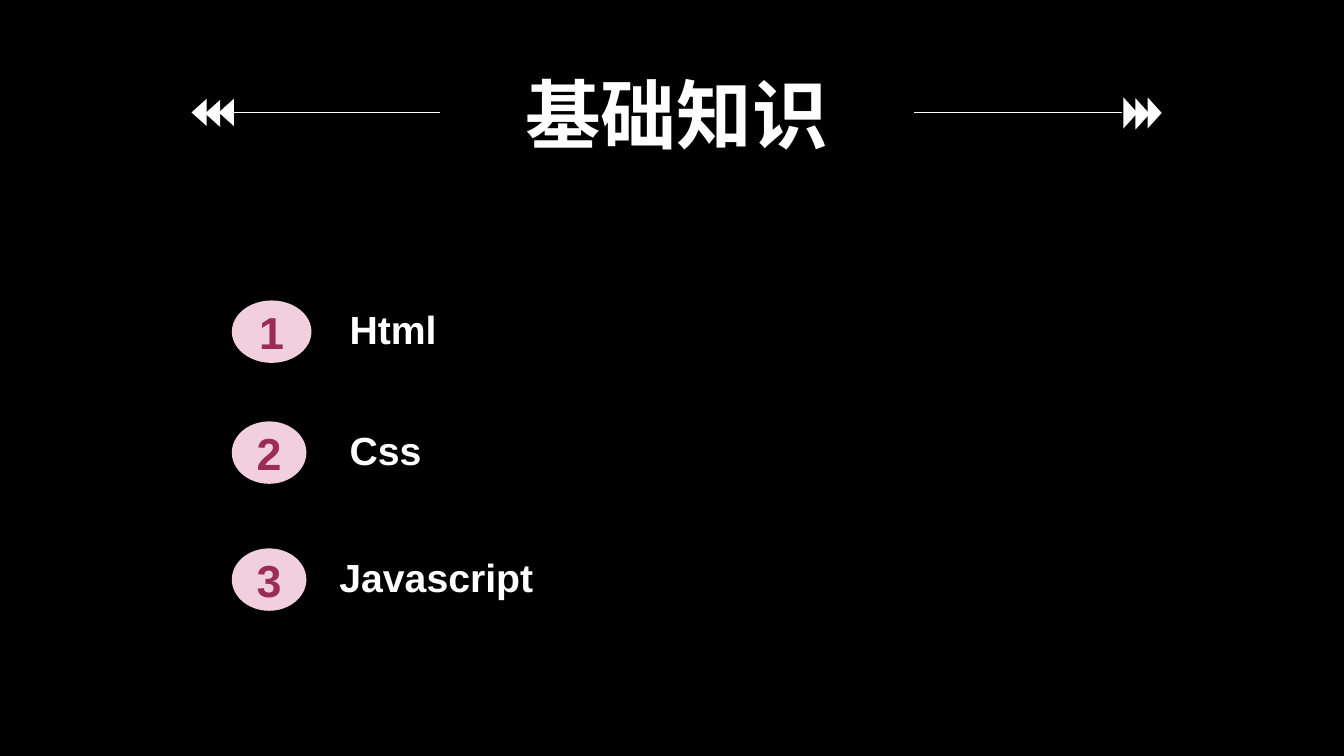
from lxml.etree import SubElement
from pptx import Presentation
from pptx.dml.color import RGBColor
from pptx.enum.shapes import MSO_CONNECTOR as CONN, MSO_SHAPE as SHAPE
from pptx.enum.text import MSO_ANCHOR as ANCHOR, MSO_AUTO_SIZE as FIT, PP_ALIGN as ALIGN
from pptx.oxml.ns import qn
from pptx.util import Pt

COLORS = {"back": "000000", "white": "FFFFFF", "pink": "F1CFDC", "wine": "9B2C56"}
FONT = "Arial"

# Text, text left, row top, badge width
TOPICS = [
    ("Html", 242.6, 193.7, 56.9),
    ("Css", 242.6, 280.1, 53.3),
    ("Javascript", 235.4, 370.8, 53.3),
]
ROW_RIGHT, ROW_HEIGHT = 814.3, 86.4
BADGE_LEFT, BADGE_HEIGHT = 165.6, 44.6


def color(name):
    return RGBColor.from_string(COLORS[name])


def write(shape, text, size, color_name, align, anchor=ANCHOR.MIDDLE):
    tf = shape.text_frame
    tf.text = text
    tf.word_wrap = True
    tf.auto_size = FIT.NONE
    tf.vertical_anchor = anchor
    p = tf.paragraphs[0]
    p.alignment = align
    font = p.runs[0].font
    font.name, font.size, font.bold = FONT, Pt(size), True
    font.color.rgb = color(color_name)
    return p


def add_solid(s, kind, left, top, width, height, fill):
    sp = s.shapes.add_shape(kind, Pt(left), Pt(top), Pt(width), Pt(height))
    sp.shadow.inherit = False
    sp.fill.solid()
    sp.fill.fore_color.rgb = color(fill)
    sp.line.fill.background()
    return sp


def add_title(s, text):
    title = s.shapes.title
    title.left, title.top = Pt(311.8), Pt(44.6)
    title.width, title.height = Pt(342.7), Pt(72.7)
    write(title, text, 54, "white", ALIGN.CENTER, ANCHOR.TOP)


def add_rule(s, left, right, y):
    line = s.shapes.add_connector(CONN.STRAIGHT, Pt(left), Pt(y), Pt(right), Pt(y))
    line.line.color.rgb = color("white")
    line.line.width = Pt(0.5)
    SubElement(line._element.spPr, qn("a:effectLst"))


def add_arrowheads(s, left, step, top, width, height, rotation):
    # The middle head sits slightly lower than its neighbours
    for i in range(3):
        head = add_solid(s, SHAPE.ISOSCELES_TRIANGLE, left + i * step,
                         top + 0.7 * (i % 2), width, height, "white")
        head.rotation = rotation


def add_topic(s, number, text, left, top, badge_width):
    box = s.shapes.add_textbox(Pt(left), Pt(top), Pt(ROW_RIGHT - left), Pt(ROW_HEIGHT))
    write(box, text, 28, "white", ALIGN.LEFT).line_spacing = 0.9
    badge_top = top + (ROW_HEIGHT - BADGE_HEIGHT) / 2
    badge = add_solid(s, SHAPE.OVAL, BADGE_LEFT, badge_top, badge_width, BADGE_HEIGHT, "pink")
    write(badge, str(number), 32, "wine", ALIGN.CENTER)


def main():
    prs = Presentation()
    prs.slide_width, prs.slide_height = Pt(960), Pt(540)
    s = prs.slides.add_slide(prs.slide_layouts[5])
    s.background.fill.solid()
    s.background.fill.fore_color.rgb = color("back")

    # Title between two arrows
    add_title(s, "基础知识")
    add_rule(s, 653, 801.4, 80.6)
    add_arrowheads(s, 796.3, 8.64, 75.6, 22.3, 10.1, 90)
    add_arrowheads(s, 132.5, 9.7, 74.9, 19.4, 10.8, 270)
    add_rule(s, 167, 314.6, 80.6)

    # Numbered topics
    for number, topic in enumerate(TOPICS, 1):
        add_topic(s, number, *topic)

    prs.save("out.pptx")


if __name__ == "__main__":
    main()
